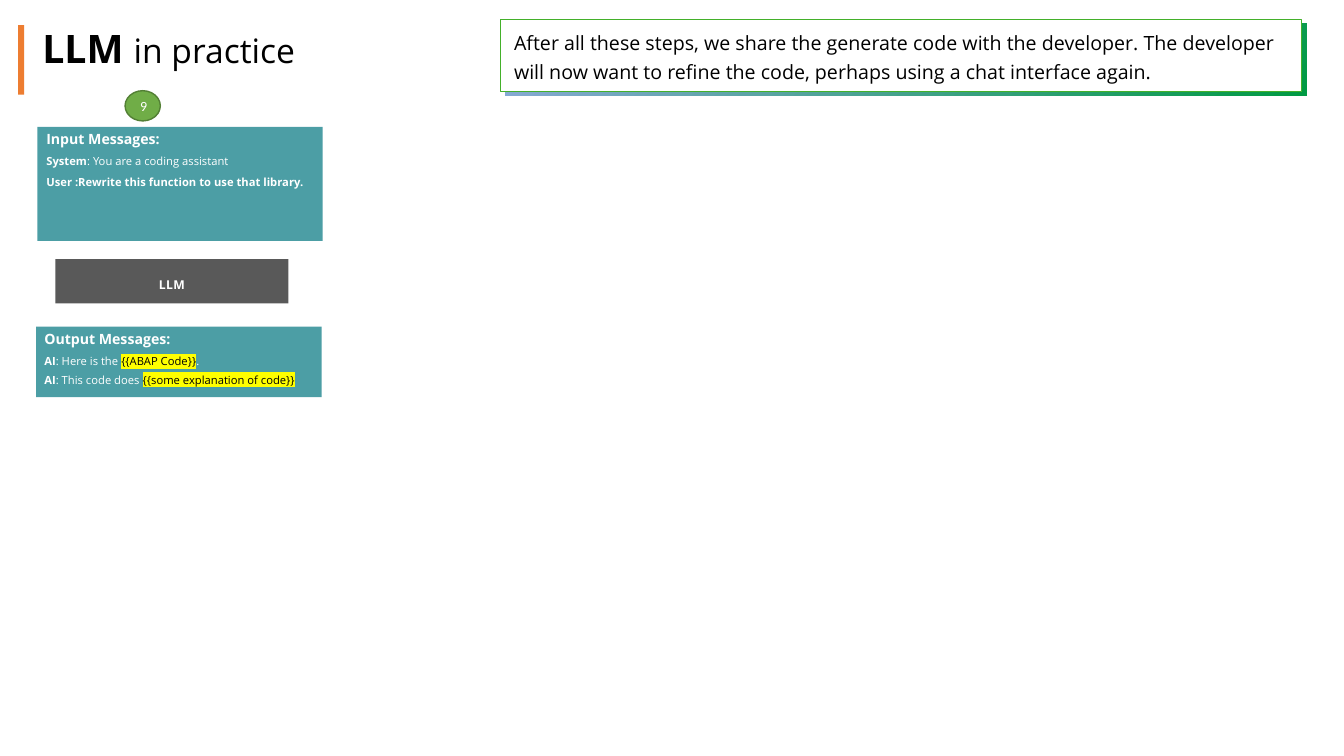
"""Build the slide on refining generated code with an LLM."""
from dataclasses import dataclass, field

from lxml import etree
from pptx import Presentation
from pptx.dml.color import RGBColor
from pptx.enum import shapes, text
from pptx.oxml import ns
from pptx.shapes.autoshape import Shape
from pptx.slide import Slide
from pptx.util import Inches, Pt


@dataclass(frozen=True)
class Theme:
    """Colours, fonts and type sizes of the slide."""
    white: str = "FFFFFF"
    black: str = "000000"
    accent: str = "ED7D31"
    teal: str = "007680"
    grey: str = "595959"
    highlight: str = "FFFF00"
    note_line: str = "43B02A"
    shade_from: str = "009A44"
    shade_to: str = "8FAADC"
    badge: str = "70AD47"
    badge_line: str = "538035"
    font: str = "Open Sans"
    badge_font: str = "Calibri"
    title: float = 28
    subtitle: float = 24
    note: float = 14
    heading: float = 10.1
    number: float = 10
    model: float = 8.7
    body: float = 8


THEME = Theme()


@dataclass(frozen=True)
class Box:
    """A rectangle on the page, in inches."""
    left: float
    top: float
    width: float
    height: float

    def lengths(self) -> list:
        """Return the four lengths."""
        return [Inches(value) for value in (self.left, self.top, self.width, self.height)]


@dataclass(frozen=True)
class Span:
    """A stretch of text in one format."""
    wording: str
    size: float = THEME.body
    bold: bool = False
    color: str = THEME.white
    font: str = THEME.font
    marked: bool = False
    spacing: int = 0


@dataclass(frozen=True)
class Block:
    """A preset shape with its fill and outline."""
    box: Box
    fill: str
    kind: shapes.MSO_SHAPE = shapes.MSO_SHAPE.RECTANGLE
    line: str = ""
    weight: float = 0.5
    opacity: int = 100


@dataclass(frozen=True)
class Panel:
    """A teal panel with a heading and message lines."""
    box: Box
    text_left: float
    text_top: float
    pitch: float
    heading: str
    messages: list[list[Span]] = field(default_factory=list)


def add_child(parent: etree._Element, tag: str, **values: str) -> etree._Element:
    """Append a drawing element with attributes."""
    return etree.SubElement(parent, ns.qn(tag), values)


def draw_block(page: Slide, block: Block) -> Shape:
    """Draw a filled preset shape."""
    shape = page.shapes.add_shape(block.kind, *block.box.lengths())
    shape.shadow.inherit = False
    shape.fill.solid()
    shape.fill.fore_color.rgb = RGBColor.from_string(block.fill)
    if block.opacity < 100:
        color = shape.element.spPr.find(".//" + ns.qn("a:srgbClr"))
        add_child(color, "a:alpha", val=str(block.opacity * 1000))
    if block.line:
        shape.line.color.rgb = RGBColor.from_string(block.line)
        shape.line.width = Pt(block.weight)
    else:
        shape.line.fill.background()
    return shape


def shade_note(shape: Shape) -> None:
    """Give a shape a gradient that spreads from its bottom right corner."""
    shape.fill.gradient()
    stops = zip(shape.fill.gradient_stops, (0, 0.99), (THEME.shade_from, THEME.shade_to))
    for stop, position, color in stops:
        stop.position = position
        stop.color.rgb = RGBColor.from_string(color)
    gradient = shape.element.spPr.find(ns.qn("a:gradFill"))
    gradient.remove(gradient.find(ns.qn("a:lin")))
    circle = add_child(gradient, "a:path", path="circle")
    add_child(circle, "a:fillToRect", l="100000", t="100000")


def write(shape: Shape, spans: list[Span], inset: bool = False,
          anchor: text.MSO_ANCHOR = text.MSO_ANCHOR.TOP,
          align: text.PP_ALIGN = text.PP_ALIGN.LEFT, leading: float = 1) -> None:
    """Write one paragraph of spans into a shape."""
    frame = shape.text_frame
    layout = {"word_wrap": True, "vertical_anchor": anchor}
    if not inset:
        layout |= {f"margin_{side}": 0 for side in ("left", "top", "right", "bottom")}
    for name, value in layout.items():
        setattr(frame, name, value)
    para = frame.paragraphs[0]
    para.alignment = align
    para.line_spacing = leading
    for span in spans:
        run = para.add_run()
        run.text = span.wording
        look = {"size": Pt(span.size), "bold": span.bold, "name": span.font}
        for name, value in look.items():
            setattr(run.font, name, value)
        run.font.color.rgb = RGBColor.from_string(span.color)
        properties = run.font._element
        if span.spacing:
            properties.set("spc", str(span.spacing))
        if span.marked:
            mark = add_child(properties, "a:highlight")
            add_child(mark, "a:srgbClr", val=THEME.highlight)
            properties.find(ns.qn("a:solidFill")).addnext(mark)


def draw_text(page: Slide, box: Box, spans: list[Span], inset: bool = False,
              leading: float = 1) -> None:
    """Add a text box."""
    write(page.shapes.add_textbox(*box.lengths()), spans, inset, leading=leading)


def draw_panel(page: Slide, panel: Panel) -> None:
    """Draw a message panel with its text."""
    draw_block(page, Block(panel.box, THEME.teal, opacity=70))
    heading = Span(panel.heading, THEME.heading, bold=True)
    draw_text(page, Box(panel.text_left, panel.text_top, 1.6, 0.2), [heading])
    for index, spans in enumerate(panel.messages):
        top = panel.text_top + 0.24 + index * panel.pitch
        draw_text(page, Box(panel.text_left, top, panel.box.width, 0.16), spans)


def marked(wording: str) -> Span:
    """Return a highlighted placeholder."""
    return Span(wording, color=THEME.black, marked=True)


PANELS = [
    Panel(Box(0.37, 1.26, 2.83, 1.13), 0.46, 1.29, 0.21, "Input Messages:", [
        [Span("System", bold=True), Span(": You are a coding assistant")],
        [Span("User :Rewrite this function to use that library.", bold=True)]]),
    Panel(Box(0.36, 3.24, 2.83, 0.7), 0.44, 3.28, 0.18, "Output Messages:", [
        [Span("AI", bold=True), Span(": Here is the "), marked("{{ABAP Code}}"), Span(".")],
        [Span("AI", bold=True), Span(": This code does "),
         marked("{{some explanation of code}}")]]),
]
NOTE = ("After all these steps, we share the generate code with the developer. The developer "
        "will now want to refine the code, perhaps using a chat interface again.")


def main() -> None:
    """Build and save the deck."""
    deck = Presentation()
    deck.slide_width, deck.slide_height = Inches(13.33), Inches(7.5)
    page = deck.slides.add_slide(deck.slide_layouts[6])
    shade_note(draw_block(page, Block(Box(5.01, 0.23, 7.95, 0.72), THEME.shade_from)))
    draw_block(page, Block(Box(4.96, 0.19, 7.95, 0.72), THEME.white, line=THEME.note_line))
    draw_text(page, Box(0.42, 0.24, 5.58, 0.97), [
        Span("LLM ", THEME.title, True, THEME.black),
        Span("in practice", THEME.subtitle, color=THEME.black)])
    draw_block(page, Block(Box(0.18, 0.25, 0.06, 0.69), THEME.accent))
    draw_text(page, Box(5, 0.2, 7.96, 0.74), [Span(NOTE, THEME.note, color=THEME.black)],
              inset=True, leading=1.25)
    centred = {"anchor": text.MSO_ANCHOR.MIDDLE, "align": text.PP_ALIGN.CENTER}
    model = draw_block(page, Block(Box(0.55, 2.57, 2.31, 0.44), THEME.grey))
    write(model, [Span("LLM", THEME.model, True, spacing=20)], leading=1.5, **centred)
    for panel in PANELS:
        draw_panel(page, panel)
    badge = draw_block(page, Block(Box(1.24, 0.9, 0.35, 0.3), THEME.badge,
                                   shapes.MSO_SHAPE.OVAL, THEME.badge_line, 1))
    write(badge, [Span("9", THEME.number, font=THEME.badge_font)], inset=True, **centred)
    deck.save("out.pptx")


if __name__ == "__main__":
    main()
